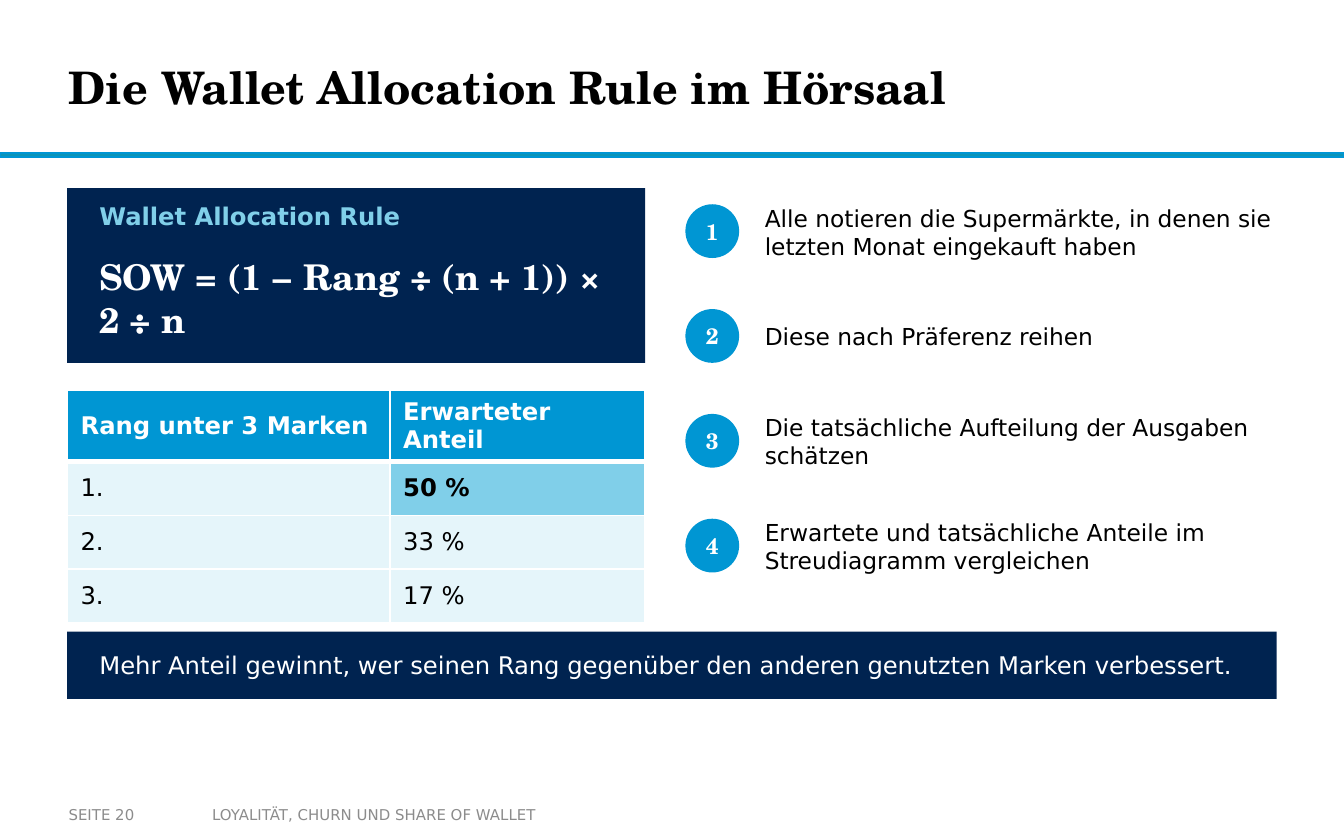
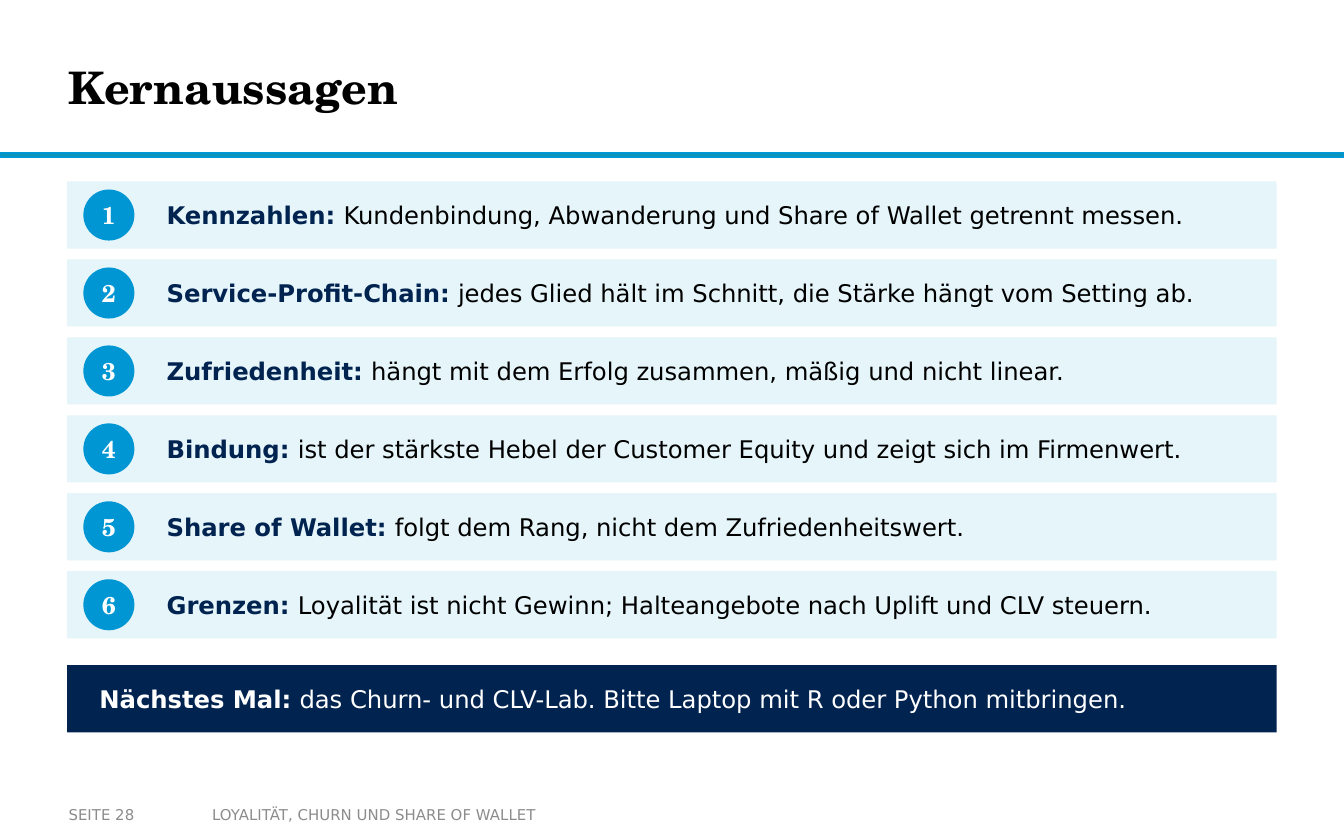
from dataclasses import dataclass

from lxml import etree
from pptx import Presentation
from pptx import util as u
from pptx.dml.color import RGBColor
from pptx.enum import shapes, text
from pptx.oxml import ns

NAVY = RGBColor(0x00, 0x23, 0x50)
BLUE = RGBColor(0x00, 0x96, 0xD3)
TEAL = RGBColor(0x0C, 0x94, 0xB7)
SKY = RGBColor(0x80, 0xCF, 0xE9)
PALE = RGBColor(0xE5, 0xF5, 0xFA)
GREY = RGBColor(0x8C, 0x8C, 0x8C)
BLACK = RGBColor(0x00, 0x00, 0x00)
WHITE = RGBColor(0xFF, 0xFF, 0xFF)

SANS = "DejaVu Sans"
SERIF = "TeX Gyre Schola"
RECT = shapes.MSO_SHAPE.RECTANGLE
OVAL = shapes.MSO_SHAPE.OVAL
MID = text.MSO_ANCHOR.MIDDLE
TOP = text.MSO_ANCHOR.TOP
TIGHT = (0.04, 0.02)


@dataclass(frozen=True)
class Box:
    left: float
    top: float
    width: float
    height: float

    def place(self) -> tuple:
        return tuple(map(u.Inches, (self.left, self.top, self.width, self.height)))


@dataclass(frozen=True)
class Run:
    words: str
    size: float = 13
    color: RGBColor = BLACK
    bold: bool = False
    face: str = SANS


@dataclass(frozen=True)
class Step:
    words: str
    head: str = ""


STEPS = [
    Step("Alle notieren die Supermärkte, in denen sie letzten Monat eingekauft haben"),
    Step("Diese nach Präferenz reihen"),
    Step("Die tatsächliche Aufteilung der Ausgaben schätzen"),
    Step("Erwartete und tatsächliche Anteile im Streudiagramm vergleichen"),
]
POINTS = [
    Step("Kundenbindung, Abwanderung und Share of Wallet getrennt messen.", "Kennzahlen: "),
    Step("jedes Glied hält im Schnitt, die Stärke hängt vom Setting ab.", "Service-Profit-Chain: "),
    Step("hängt mit dem Erfolg zusammen, mäßig und nicht linear.", "Zufriedenheit: "),
    Step("ist der stärkste Hebel der Customer Equity und zeigt sich im Firmenwert.", "Bindung: "),
    Step("folgt dem Rang, nicht dem Zufriedenheitswert.", "Share of Wallet: "),
    Step("Loyalität ist nicht Gewinn; Halteangebote nach Uplift und CLV steuern.", "Grenzen: "),
]
SHARES = [
    ("Rang unter 3 Marken", "Erwarteter Anteil"),
    ("1.", "50 %"),
    ("2.", "33 %"),
    ("3.", "17 %"),
]


def write(par, runs: list[Run]) -> None:
    for item in runs:
        run = par.add_run()
        run.text = item.words
        font = run.font
        font.name = item.face
        font.size = u.Pt(item.size)
        font.bold = item.bold
        font.color.rgb = item.color


def inset(frame, pads: tuple[float, float]) -> None:
    frame.margin_left = frame.margin_right = u.Inches(pads[0])
    frame.margin_top = frame.margin_bottom = u.Inches(pads[1])


def label(slide, box: Box, runs: list[Run], pads=TIGHT, anchor=MID, grow=True, after=0) -> None:
    frame = slide.shapes.add_textbox(*box.place()).text_frame
    frame.word_wrap = True
    frame.auto_size = text.MSO_AUTO_SIZE.SHAPE_TO_FIT_TEXT if grow else text.MSO_AUTO_SIZE.NONE
    frame.vertical_anchor = anchor
    inset(frame, pads)
    par = frame.paragraphs[0]
    par.space_after = u.Pt(after)
    write(par, runs)


def block(slide, box: Box, fill: RGBColor, kind=RECT):
    shape = slide.shapes.add_shape(kind, *box.place())
    shape.shadow.inherit = False
    shape.fill.solid()
    shape.fill.fore_color.rgb = fill
    shape.line.fill.background()
    return shape


def badge(slide, box: Box, count: int, size: float) -> None:
    frame = block(slide, box, BLUE, OVAL).text_frame
    frame.vertical_anchor = MID
    inset(frame, (0, 0))
    par = frame.paragraphs[0]
    par.alignment = text.PP_ALIGN.CENTER
    write(par, [Run(str(count), size, WHITE, True, SERIF)])


def banner(slide, top: float, runs: list[Run]) -> None:
    block(slide, Box(0.5, top, 9, 0.5), NAVY)
    label(slide, Box(0.7, top, 8.6, 0.5), runs)


def start(deck, title: str, page: int):
    slide = deck.slides.add_slide(deck.slide_layouts[6])
    rule = block(slide, Box(0, 1.14, 10, 0.03), TEAL)
    rule.line.color.rgb = BLUE
    rule.line.width = u.Pt(1)
    label(slide, Box(0.51, 0.15, 7.48, 0.99), [Run(title, 24, BLACK, True, SERIF)],
          pads=(0, 0), grow=False)
    label(slide, Box(1.48, 5.92, 3.52, 0.28),
          [Run("LOYALITÄT, CHURN UND SHARE OF WALLET", 8, GREY)], pads=(0.1, 0.05), grow=False)
    label(slide, Box(0.51, 5.92, 0.98, 0.28), [Run(f"SEITE {page}", 8, GREY)],
          pads=(0, 0.05), grow=False)
    return slide


def border(cell, top: float, base: float) -> None:
    props = cell._tc.get_or_add_tcPr()
    for side, width in (("L", 1), ("R", 1), ("T", top), ("B", base)):
        line = etree.SubElement(props, ns.qn(f"a:ln{side}"), w=str(u.Pt(width)))
        fill = etree.SubElement(line, ns.qn("a:solidFill"))
        etree.SubElement(fill, ns.qn("a:srgbClr"), val=str(WHITE))


def grid(slide, box: Box, widths: list[float]) -> None:
    table = slide.shapes.add_table(len(SHARES), len(widths), *box.place()).table
    for col, width in zip(table.columns, widths):
        col.width = u.Inches(width)
    for r, row in enumerate(SHARES):
        for c, words in enumerate(row):
            head, best = r == 0, (r, c) == (1, 1)
            cell = table.cell(r, c)
            cell.vertical_anchor = MID
            border(cell, 3 if r == 1 else 1, 3 if head else 1)
            cell.fill.solid()
            cell.fill.fore_color.rgb = BLUE if head else SKY if best else PALE
            write(cell.text_frame.paragraphs[0],
                  [Run(words, color=WHITE if head else BLACK, bold=head or best)])


def lesson(deck) -> None:
    slide = start(deck, "Die Wallet Allocation Rule im Hörsaal", 20)
    block(slide, Box(0.5, 1.4, 4.3, 1.3), NAVY)
    label(slide, Box(0.7, 1.48, 3.9, 0.4), [Run("Wallet Allocation Rule", 13, SKY, True)],
          anchor=TOP, after=6)
    label(slide, Box(0.7, 1.88, 3.9, 0.7),
          [Run("SOW = (1 − Rang ÷ (n + 1)) × 2 ÷ n", 19, WHITE, True, SERIF)],
          anchor=TOP, after=6)
    grid(slide, Box(0.5, 2.9, 4.3, 1.6), [2.4, 1.9])
    for i, step in enumerate(STEPS):
        top = 1.4 + 0.78 * i
        badge(slide, Box(5.1, top + 0.12, 0.4, 0.4), i + 1, 12)
        label(slide, Box(5.65, top, 3.85, 0.65), [Run(step.words, 12.5)])
    banner(slide, 4.7, [Run(
        "Mehr Anteil gewinnt, wer seinen Rang gegenüber den anderen genutzten Marken verbessert.",
        color=WHITE)])


def recap(deck) -> None:
    slide = start(deck, "Kernaussagen", 28)
    for i, point in enumerate(POINTS):
        top = 1.35 + 0.58 * i
        block(slide, Box(0.5, top, 9, 0.5), PALE)
        badge(slide, Box(0.62, top + 0.06, 0.38, 0.38), i + 1, 13)
        label(slide, Box(1.2, top, 8.15, 0.5),
              [Run(point.head, color=NAVY, bold=True), Run(point.words)])
    banner(slide, 4.95, [
        Run("Nächstes Mal: ", color=WHITE, bold=True),
        Run("das Churn- und CLV-Lab. Bitte Laptop mit R oder Python mitbringen.", color=WHITE),
    ])


def main() -> None:
    deck = Presentation()
    deck.slide_width = u.Inches(10)
    deck.slide_height = u.Inches(6.25)
    lesson(deck)
    recap(deck)
    deck.save("out.pptx")


if __name__ == "__main__":
    main()
